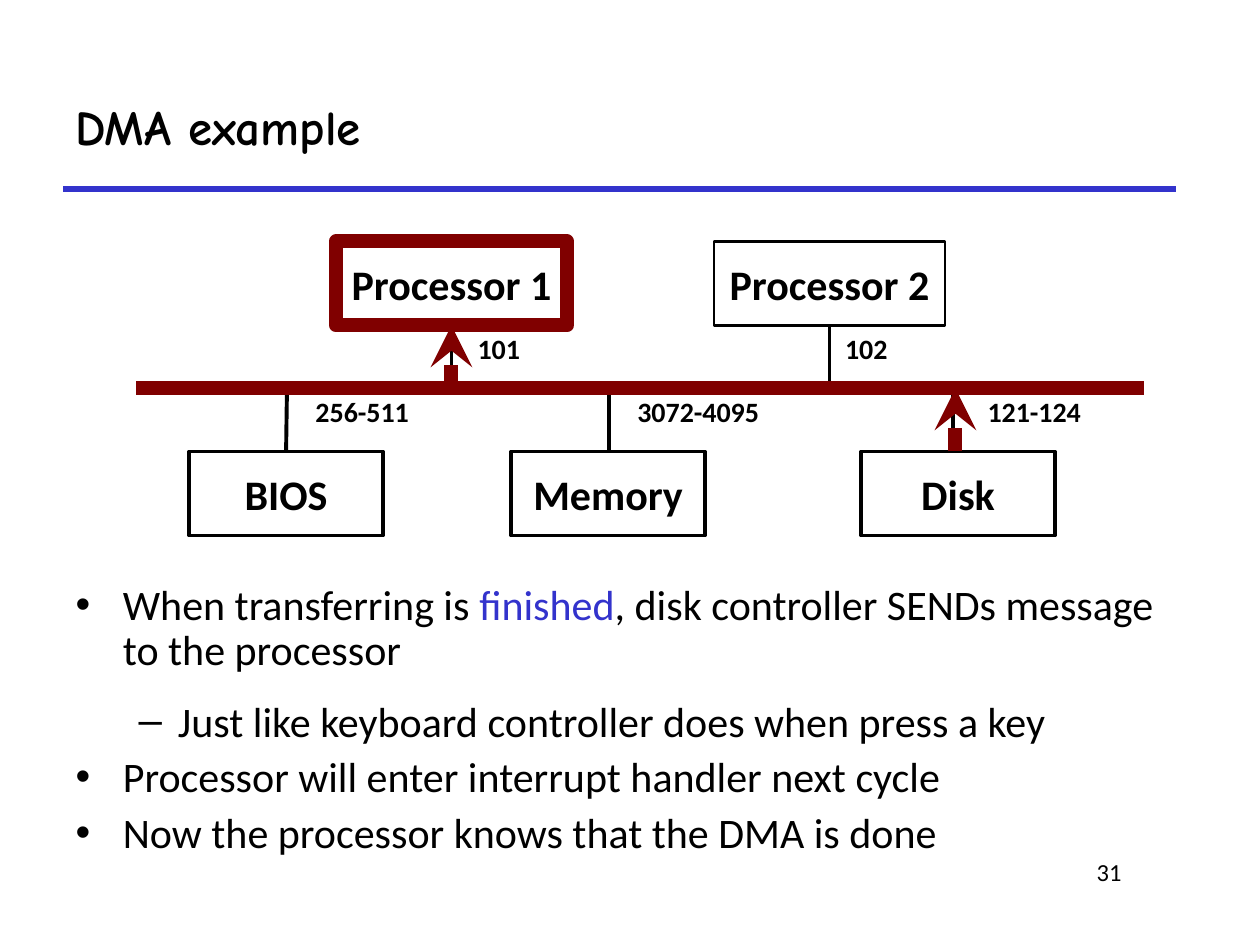
from lxml import etree
from pptx import Presentation
from pptx.dml.color import RGBColor
from pptx.enum.shapes import MSO_CONNECTOR, MSO_SHAPE
from pptx.enum.text import MSO_ANCHOR, MSO_AUTO_SIZE, PP_ALIGN
from pptx.oxml.ns import qn
from pptx.util import Pt

LINE = MSO_CONNECTOR.STRAIGHT
RECT = MSO_SHAPE.RECTANGLE
MIDDLE, TOP = MSO_ANCHOR.MIDDLE, MSO_ANCHOR.TOP
FIXED = MSO_AUTO_SIZE.NONE
LEFT, CENTER, RIGHT = PP_ALIGN.LEFT, PP_ALIGN.CENTER, PP_ALIGN.RIGHT
BLACK, WHITE, BLUE, RED = "000000", "FFFFFF", "3333CC", "800000"
BODY, HEAD = "Calibri", "Comic Neue"

# name, left, wire top x, wire foot x, fill, line colour, line width
CPUS = [("Processor 1", 114, 180, 180, None, RED, 8),
        ("Processor 2", 330, 396, 396, None, BLACK, 1.5)]
UNITS = [("BIOS", 30, 86, 85.5, WHITE, BLACK, 2),
         ("Memory", 214, 270, 270, WHITE, BLACK, 2),
         ("Disk", 414, 466.5, 466.5, WHITE, BLACK, 2)]
# text, left, width
CPU_TAGS = [("101", 180, 54), ("102", 390, 54)]
UNIT_TAGS = [("256-511", 84, 90), ("3072-4095", 270, 102), ("121-124", 468, 90)]
# level, runs of text and colour
POINTS = [
    (0, [("When transferring is ", BLACK), ("finished", BLUE),
         (", disk controller SENDs message to the processor", BLACK)]),
    (1, [("Just like keyboard controller does when press a key", BLACK)]),
    (0, [("Processor will enter interrupt handler next cycle", BLACK)]),
    (0, [("Now the processor knows that the DMA is done", BLACK)]),
]
# bullet, left margin, indent, line spacing
LEVELS = [("•", 27, -27, 0.9), ("–", 58.5, -22.5, 1.2)]


def rgb(code):
    return RGBColor.from_string(code)


def place(shape, box):
    shape.left, shape.top, shape.width, shape.height = map(Pt, box)


def style(par, size, face=BODY, bold=False, align=LEFT):
    par.alignment = align
    font = par.font
    font.size, font.name, font.bold = Pt(size), face, bold
    font.color.rgb = rgb(BLACK)


def line(slide, x1, y1, x2, y2, color, width, arrow=False):
    link = slide.shapes.add_connector(LINE, Pt(x1), Pt(y1), Pt(x2), Pt(y2))
    link.line.color.rgb = rgb(color)
    link.line.width = Pt(width)
    if arrow:
        etree.SubElement(link.line._get_or_add_ln(), qn("a:tailEnd"), type="stealth")
    etree.SubElement(link._element.spPr, qn("a:effectLst"))


def label(slide, text, box, size=16, bold=True, align=CENTER):
    frame = slide.shapes.add_textbox(*map(Pt, box)).text_frame
    frame.word_wrap = True
    frame.text = text
    style(frame.paragraphs[0], size, bold=bold, align=align)


def block(slide, text, box, fill, color, width):
    shape = slide.shapes.add_shape(RECT, *map(Pt, box))
    shape.shadow.inherit = False
    if fill:
        shape.fill.solid()
        shape.fill.fore_color.rgb = rgb(fill)
    else:
        shape.fill.background()
    shape.line.color.rgb = rgb(color)
    shape.line.width = Pt(width)
    frame = shape.text_frame
    frame.vertical_anchor = MIDDLE
    frame.text = text
    style(frame.paragraphs[0], 24, bold=True, align=CENTER)


def header(slide, box):
    x, y, w, h = box
    title = slide.shapes.title
    place(title, box)
    frame = title.text_frame
    frame.text = "DMA example"
    frame.auto_size = FIXED
    frame.vertical_anchor = MIDDLE
    style(frame.paragraphs[0], 28, HEAD, bold=True)
    line(slide, x, y + h, x + w, y + h, BLUE, 3)


def diagram(slide, box):
    x, y, w, h = box
    tall = 48
    bus, low = y + h / 2, y + h - tall
    rows = [(CPUS, y, 132, y + tall, bus), (UNITS, low, 111, bus, low)]
    for row, top, wide, start, end in rows:
        for name, left, head, foot, fill, color, width in row:
            line(slide, x + head, start, x + foot, end, BLACK, 2.25)
            block(slide, name, (x + left, top, wide, tall), fill, color, width)
    for tags, top in ((CPU_TAGS, y + tall), (UNIT_TAGS, bus)):
        for text, left, wide in tags:
            label(slide, text, (x + left, top, wide, 26.5))
    line(slide, x, bus, x + w, bus, RED, 8)
    line(slide, x + 180, bus, x + 180, y + tall, RED, 8, arrow=True)
    line(slide, x + 468, low, x + 468, bus, RED, 8, arrow=True)


def bullets(slide, box):
    body = slide.placeholders[1]
    place(body, box)
    frame = body.text_frame
    frame.auto_size = FIXED
    frame.vertical_anchor = TOP
    for i, (level, runs) in enumerate(POINTS):
        par = frame.add_paragraph() if i else frame.paragraphs[0]
        mark, margin, indent, pitch = LEVELS[level]
        par.level = level
        par.line_spacing = pitch
        par.space_before = Pt(6 if i else 0)
        props = par._p.get_or_add_pPr()
        props.set("marL", str(Pt(margin)))
        props.set("indent", str(Pt(indent)))
        tint = etree.SubElement(props, qn("a:buClr"))
        etree.SubElement(tint, qn("a:srgbClr"), val=BLACK)
        etree.SubElement(props, qn("a:buChar"), char=mark)
        style(par, 24)
        for text, color in runs:
            run = par.add_run()
            run.text = text
            if color != BLACK:
                run.font.color.rgb = rgb(color)


def main():
    deck = Presentation()
    deck.slide_width, deck.slide_height = Pt(720), Pt(540)
    slide = deck.slides.add_slide(deck.slide_layouts[1])
    header(slide, (36, 36, 636, 72))
    diagram(slide, (78, 138, 576, 168))
    bullets(slide, (36, 330, 654, 174))
    label(slide, "31", (546, 486, 102, 36), 14, bold=False, align=RIGHT)
    deck.save("out.pptx")


if __name__ == "__main__":
    main()
